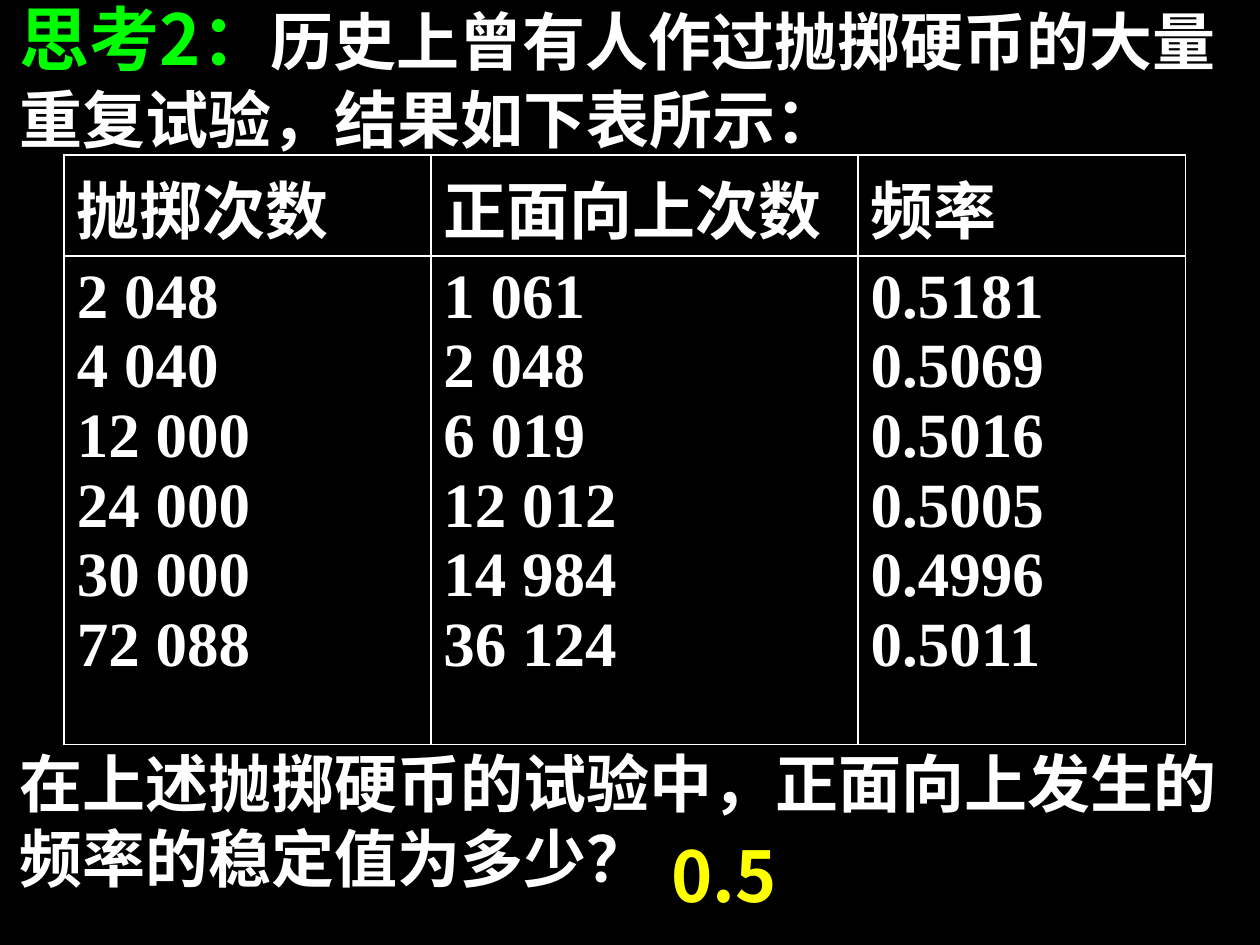
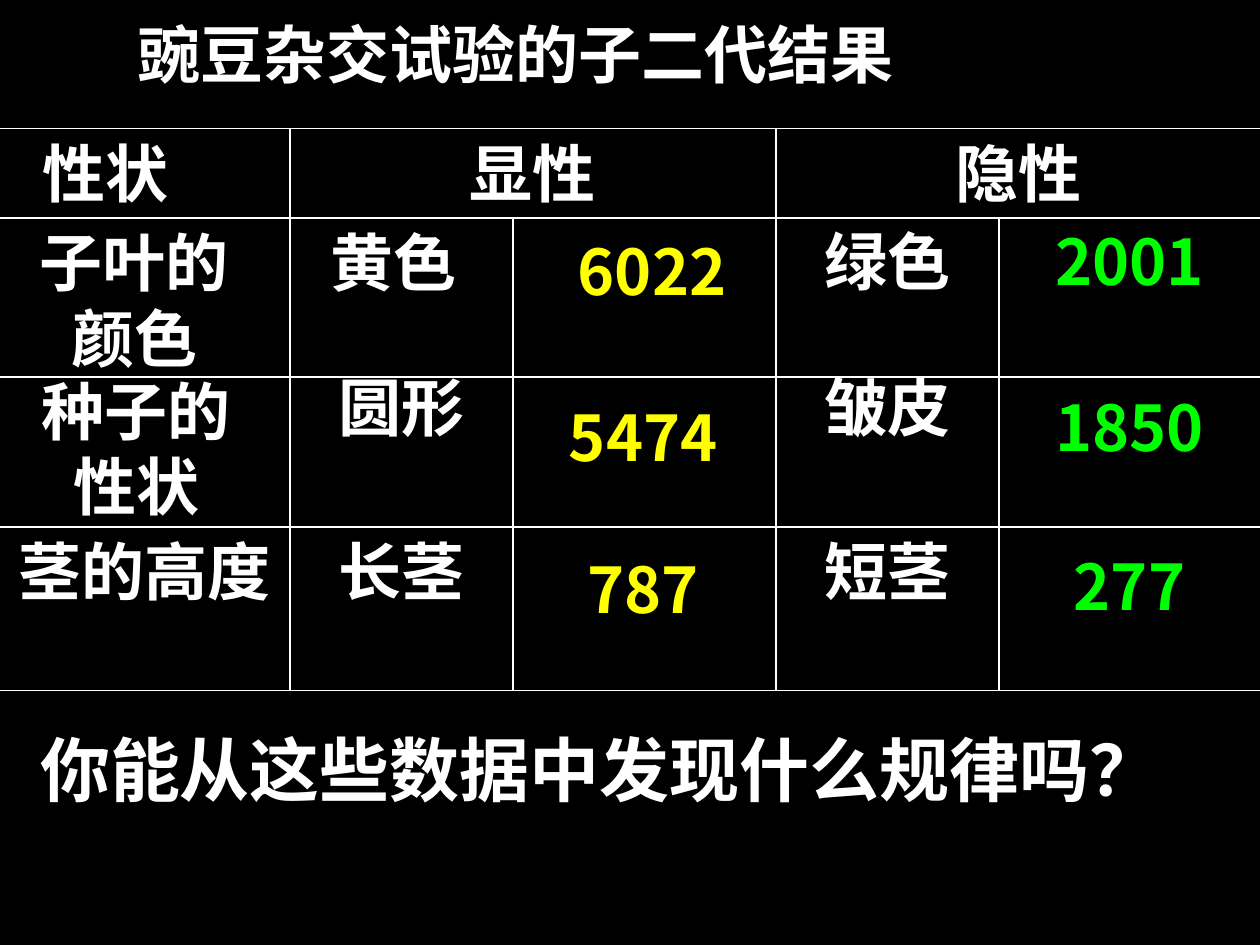
from lxml import etree
from pptx import Presentation
from pptx.dml.color import RGBColor
from pptx.enum import shapes, text
from pptx.oxml import ns
from pptx.util import Inches, Pt

# Shared style
HUES = {"back": "000000", "ink": "FFFFFF", "lime": "00FF00", "gold": "FFFF00"}
SANS, ARIAL, SERIF = "Noto Sans CJK SC", "Arial", "Times New Roman"
LEAD = 1.19  # line height as a share of the text size

# Coin slide
INTRO = [("思考2：", 40, "lime", SANS),
         ("历史上曾有人作过抛掷硬币的大量重复试验，结果如下表所示：", 36, "ink", ARIAL)]
ASK = "在上述抛掷硬币的试验中，正面向上发生的频率的稳定值为多少？"
ANSWER = "0.5"
TOSSES = {
    "抛掷次数": ["2 048", "4 040", "12 000", "24 000", "30 000", "72 088"],
    "正面向上次数": ["1 061", "2 048", "6 019", "12 012", "14 984", "36 124"],
    "频率": ["0.5181", "0.5069", "0.5016", "0.5005", "0.4996", "0.5011"],
}
COLS, ROWS = [2.91, 3.39, 2.6], [0.8, 3.88]

# Pea slide
TITLE = "豌豆杂交试验的子二代结果"
RULE = "你能从这些数据中发现什么规律吗？"
XS = [0, 2.3, 4.07, 6.16, 7.93, 10]
YS = [1.02, 1.73, 2.99, 4.18, 5.48]
HEADS = [("显性", 1, 3), ("隐性", 3, 5)]
TINTS = ["ink", "ink", "gold", "ink", "lime"]
# Each row: label width, then text, left and top of every entry
PEAS = [
    (2.13, [("子叶的颜色", 0, 1.73), ("黄色", 2.24, 1.73), ("6022", 4.13, 1.8),
            ("绿色", 6.16, 1.72), ("2001", 7.93, 1.72)]),
    (2.16, [("种子的性状", 0, 2.91), ("圆形", 2.3, 2.88), ("5474", 4.06, 3.12),
            ("皱皮", 6.16, 2.88), ("1850", 7.93, 3.04)]),
    (2.3, [("茎的高度", 0, 4.18), ("长茎", 2.3, 4.18), ("787", 4.06, 4.32),
           ("短茎", 6.16, 4.18), ("277", 7.93, 4.3)]),
]


def hue(name):
    return RGBColor.from_string(HUES[name])


def add_run(para, words, size, tint, face):
    run = para.add_run()
    run.text = words
    font = run.font
    font.size, font.bold, font.name = Pt(size), True, face
    font.color.rgb = hue(tint)
    east = etree.SubElement(run._r.get_or_add_rPr(), ns.qn("a:ea"))
    east.set("typeface", SANS)


def add_text(slide, box, runs, lead=36 * LEAD, mid=False, wrap=True):
    frame = slide.shapes.add_textbox(*map(Inches, box)).text_frame
    frame.word_wrap = wrap
    para = frame.paragraphs[0]
    para.line_spacing = Pt(round(lead))
    para.alignment = text.PP_ALIGN.CENTER if mid else text.PP_ALIGN.LEFT
    for run in runs:
        add_run(para, *run)


def add_line(slide, *ends):
    line = slide.shapes.add_connector(shapes.MSO_CONNECTOR.STRAIGHT, *map(Inches, ends))
    line.line.color.rgb = hue("ink")
    line.line.width = Pt(1)
    etree.SubElement(line._element.spPr, ns.qn("a:effectLst"))


def edge_cell(cell):
    cell.fill.solid()
    cell.fill.fore_color.rgb = hue("back")
    props = cell._tc.get_or_add_tcPr()
    for spot, side in enumerate(("lnL", "lnR", "lnT", "lnB")):
        edge = etree.Element(ns.qn("a:" + side), w=str(Pt(1.08)))
        fill = etree.SubElement(edge, ns.qn("a:solidFill"))
        etree.SubElement(fill, ns.qn("a:srgbClr"), val=HUES["ink"])
        props.insert(spot, edge)


def add_tosses(slide):
    box = map(Inches, (0.51, 1.23, sum(COLS), sum(ROWS)))
    table = slide.shapes.add_table(len(ROWS), len(COLS), *box).table
    for row, high in zip(table.rows, ROWS):
        row.height = Inches(high)
    for col, (head, vals) in enumerate(TOSSES.items()):
        table.columns[col].width = Inches(COLS[col])
        for row, lines in enumerate(([head], vals)):
            cell = table.cell(row, col)
            edge_cell(cell)
            frame = cell.text_frame
            for i, words in enumerate(lines):
                para = frame.add_paragraph() if i else frame.paragraphs[0]
                add_run(para, words, 36, "ink", SERIF)


def add_slide(deck):
    slide = deck.slides.add_slide(deck.slide_layouts[6])
    slide.background.fill.solid()
    slide.background.fill.fore_color.rgb = hue("back")
    return slide


def coin_slide(deck):
    slide = add_slide(deck)
    add_text(slide, (0.06, -0.03, 10, 1.26), INTRO, lead=44)
    add_tosses(slide)
    add_text(slide, (0.06, 5.86, 10, 1.3), [(ASK, 36, "ink", ARIAL)])
    add_text(slide, (5.23, 6.56, 1.1, 0.77), [(ANSWER, 40, "gold", SANS)], lead=40 * LEAD)


def pea_slide(deck):
    slide = add_slide(deck)
    add_text(slide, (0.99, 0.08, 7.2, 0.7), [(TITLE, 36, "ink", ARIAL)])

    # Header row
    high = YS[1] - YS[0]
    add_text(slide, (0.24, YS[0], 2.06, high), [("性状", 36, "ink", SANS)])
    for words, a, b in HEADS:
        add_text(slide, (XS[a], YS[0], XS[b] - XS[a], high),
                 [(words, 36, "ink", SANS)], mid=True)

    # Entries
    for row, (label, cells) in enumerate(PEAS, 1):
        for col, (words, left, top) in enumerate(cells):
            wide = XS[col + 1] - XS[col] if col else label
            add_text(slide, (left, top, wide, YS[row + 1] - YS[row]),
                     [(words, 36, TINTS[col], SANS)], mid=True)

    # Grid: the inner splits start below the header
    for y in YS:
        add_line(slide, XS[0], y, XS[-1], y)
    for col, x in enumerate(XS[1:-1], 1):
        add_line(slide, x, YS[1 - col % 2], x, YS[-1])

    add_text(slide, (0.22, 5.72, 9.08, 0.77), [(RULE, 40, "ink", ARIAL)],
             lead=40 * LEAD, wrap=False)


def main():
    deck = Presentation()
    deck.slide_width, deck.slide_height = Inches(10), Inches(7.5)
    coin_slide(deck)
    pea_slide(deck)
    deck.save("out.pptx")


if __name__ == "__main__":
    main()
